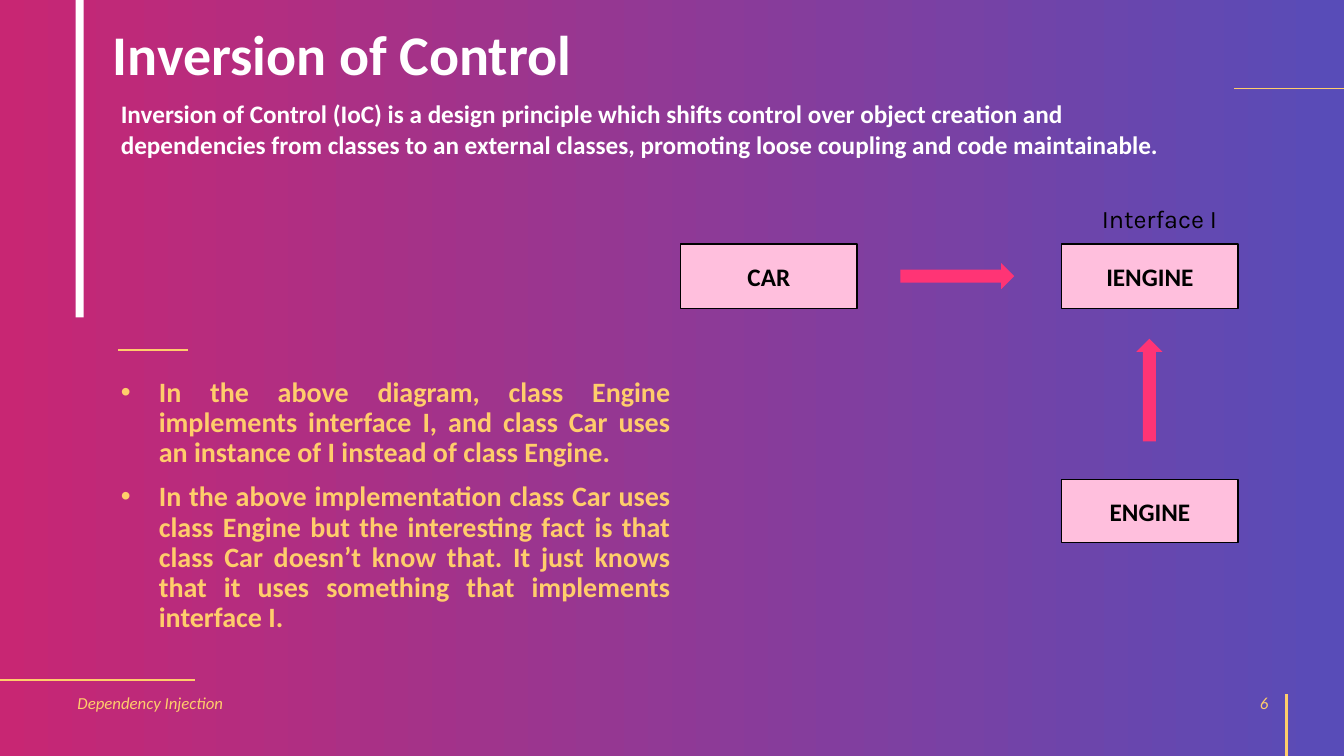
from lxml.etree import SubElement
from pptx import Presentation
from pptx.dml.color import RGBColor
from pptx.enum.shapes import MSO_CONNECTOR, MSO_SHAPE
from pptx.enum.text import MSO_ANCHOR, MSO_AUTO_SIZE, PP_ALIGN
from pptx.oxml.ns import qn
from pptx.util import Inches, Pt

COLORS = {
    "rose": "C82673", "indigo": "584CB8", "white": "FFFFFF", "black": "000000",
    "gold": "FFCD6B", "box": "FFBFDD", "arrow": "FF3475",
}
TITLE = "Inversion of Control"
INTRO = (
    "Inversion of Control (IoC) is a design principle which shifts control over object "
    "creation and dependencies from classes to an external classes, promoting loose "
    "coupling and code maintainable."
)
BULLETS = [
    "In the above diagram, class Engine implements interface I, and class Car uses an "
    "instance of I instead of class Engine.",
    "In the above implementation class Car uses class Engine but the interesting fact is "
    "that class Car doesn’t know that. It just knows that it uses something that "
    "implements interface I.",
]
FOOTER, SLIDE_NUMBER, INTERFACE_LABEL = "Dependency Injection", "6", "Interface I"
BOX_WIDTH = 1.75
CAR_LEFT, ENGINE_LEFT = 6.75, 10.53
CLASS_BOXES = [
    ("CAR", CAR_LEFT, 2.42, 0.64),
    ("IENGINE", ENGINE_LEFT, 2.42, 0.64),
    ("ENGINE", ENGINE_LEFT, 4.76, 0.62),
]
ARROWS = [(8.93, 2.61, 1.13, 0), (10.89, 3.74, 1.02, 270)]
ARROW_HEIGHT = 0.26
RULES = [
    (1.17, 3.47, 1.86, 3.47, 1.5),
    (12.24, 0.88, 13.33, 0.88, 0.5),
    (0, 6.75, 1.93, 6.75, 1.5),
    (12.76, 7.5, 12.76, 6.89, 1.5),
]


def color(name):
    return RGBColor.from_string(COLORS[name])


def place(shape, left, top, width, height):
    shape.left, shape.top = Inches(left), Inches(top)
    shape.width, shape.height = Inches(width), Inches(height)


def write(shape, *texts, size=18, fill="white", font="Calibri", bold=False, italic=False,
          align=PP_ALIGN.LEFT, anchor=MSO_ANCHOR.TOP, line_spacing=1.0, gap=0):
    frame = shape.text_frame
    frame.word_wrap = True
    frame.auto_size = MSO_AUTO_SIZE.NONE
    frame.vertical_anchor = anchor
    for index, text in enumerate(texts):
        paragraph = frame.add_paragraph() if index else frame.paragraphs[0]
        paragraph.alignment = align
        paragraph.line_spacing = line_spacing
        paragraph.space_before = Pt(gap if index else 0)
        run = paragraph.add_run()
        run.text = text
        run.font.name, run.font.size = font, Pt(size)
        run.font.bold, run.font.italic = bold, italic
        run.font.color.rgb = color(fill)


def add_shape(slide, kind, left, top, width, height, fill, outline=None):
    shape = slide.shapes.add_shape(
        kind, Inches(left), Inches(top), Inches(width), Inches(height))
    shape.shadow.inherit = False
    shape.fill.solid()
    shape.fill.fore_color.rgb = color(fill)
    if outline:
        shape.line.color.rgb = color(outline)
        shape.line.width = Pt(1)
    else:
        shape.line.fill.background()
    return shape


def add_text(slide, text, left, top, width, height, **text_format):
    box = slide.shapes.add_textbox(
        Inches(left), Inches(top), Inches(width), Inches(height))
    write(box, text, **text_format)


def main():
    presentation = Presentation()
    presentation.slide_width, presentation.slide_height = Inches(13.33), Inches(7.5)
    slide = presentation.slides.add_slide(presentation.slide_layouts[1])

    background = slide.background.fill
    background.gradient()
    background.gradient_angle = 0
    for stop, name in zip(background.gradient_stops, ("rose", "indigo")):
        stop.color.rgb = color(name)

    add_shape(slide, MSO_SHAPE.RECTANGLE, 0.75, 0, 0.08, 3.15, "white")
    for x1, y1, x2, y2, weight in RULES:
        rule = slide.shapes.add_connector(
            MSO_CONNECTOR.STRAIGHT, Inches(x1), Inches(y1), Inches(x2), Inches(y2))
        rule.line.color.rgb = color("gold")
        rule.line.width = Pt(weight)
        SubElement(rule._element.spPr, qn("a:effectLst"))

    title, body = slide.placeholders
    place(title, 1.02, 0.18, 5.65, 0.74)
    write(title, TITLE, size=40, bold=True, anchor=MSO_ANCHOR.BOTTOM, line_spacing=0.9)
    place(body, 1.1, 3.7, 5.65, 3.06)
    write(body, *BULLETS, size=20, fill="gold", bold=True, align=PP_ALIGN.JUSTIFY,
          line_spacing=0.9, gap=10)

    add_text(slide, INTRO, 1.1, 0.93, 10.8, 0.71, bold=True)
    small = {"size": 12, "fill": "gold", "italic": True, "anchor": MSO_ANCHOR.MIDDLE}
    add_text(slide, FOOTER, 0.67, 6.77, 3.56, 0.4, **small)
    add_text(slide, SLIDE_NUMBER, 9.68, 6.77, 3, 0.4, align=PP_ALIGN.RIGHT, **small)

    for name, left, top, height in CLASS_BOXES:
        box = add_shape(slide, MSO_SHAPE.RECTANGLE, left, top, BOX_WIDTH, height,
                        "box", outline="black")
        write(box, name, fill="black", bold=True, align=PP_ALIGN.CENTER,
              anchor=MSO_ANCHOR.MIDDLE)
    for left, top, length, rotation in ARROWS:
        arrow = add_shape(slide, MSO_SHAPE.RIGHT_ARROW, left, top, length, ARROW_HEIGHT,
                          "arrow")
        arrow.rotation = rotation
    add_text(slide, INTERFACE_LABEL, 10.83, 1.97, 1.73, 0.4, fill="black", font="Karla")

    presentation.save("out.pptx")


if __name__ == "__main__":
    main()
